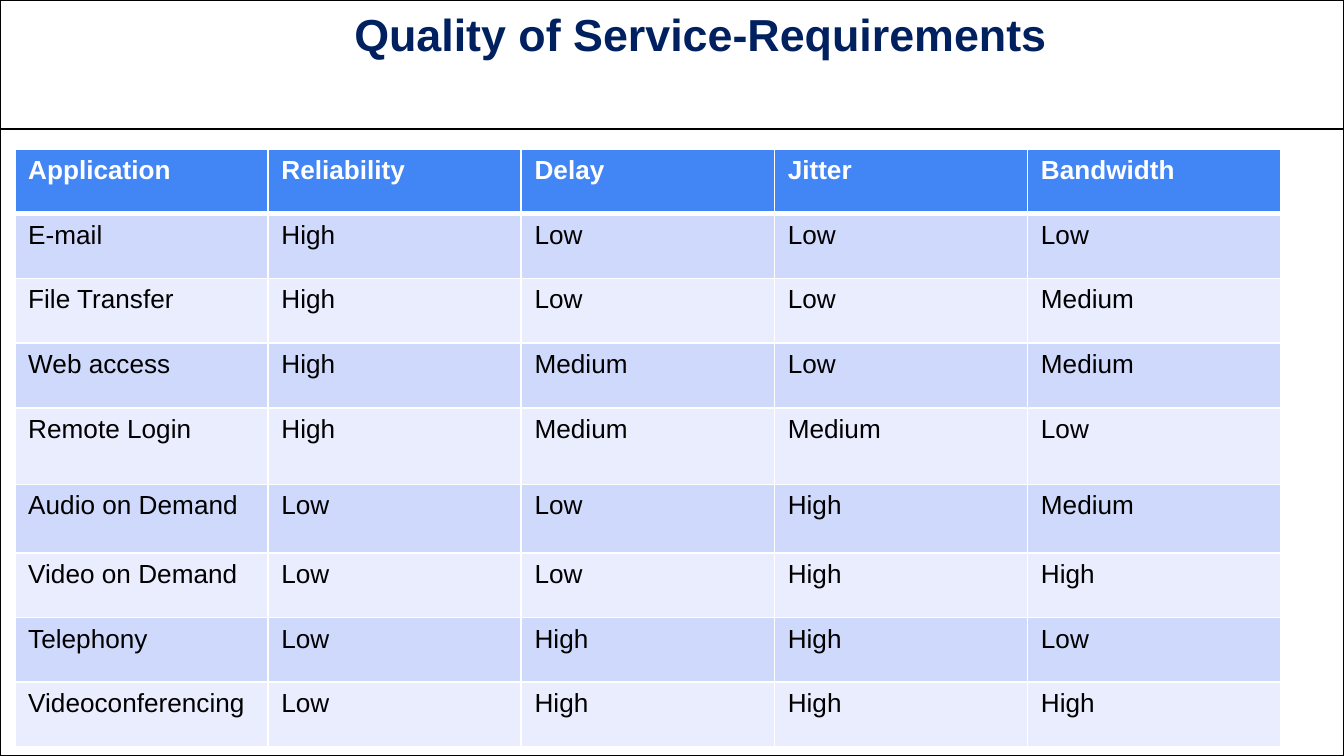
import dataclasses

import pptx
import pptx.dml.color
import pptx.enum.shapes
import pptx.enum.text
import pptx.oxml
import pptx.oxml.ns
import pptx.util
from pptx.util import Inches


@dataclasses.dataclass(frozen=True)
class Theme:
    font: str = "Arial"
    title_size: int = 24
    table_size: int = 14
    navy: str = "002060"
    header: str = "4285F4"
    bands: tuple = ("CFD9FB", "E9EDFD")
    white: str = "FFFFFF"
    black: str = "000000"


THEME = Theme()
SLIDE_WIDTH = 10
SLIDE_HEIGHT = SLIDE_WIDTH * 9 / 16
TABLE_WIDTH, TABLE_HEIGHT = 9.42, 4.45
TALLER_ROWS = {"Remote Login": 0.57, "Audio on Demand": 0.51}

REQUIREMENTS = [
    ("Application", "Reliability", "Delay", "Jitter", "Bandwidth"),
    ("E-mail", "High", "Low", "Low", "Low"),
    ("File Transfer", "High", "Low", "Low", "Medium"),
    ("Web access", "High", "Medium", "Low", "Medium"),
    ("Remote Login", "High", "Medium", "Medium", "Low"),
    ("Audio on Demand", "Low", "Low", "High", "Medium"),
    ("Video on Demand", "Low", "Low", "High", "High"),
    ("Telephony", "Low", "High", "High", "Low"),
    ("Videoconferencing", "Low", "High", "High", "High"),
]


def rgb(value):
    return pptx.dml.color.RGBColor.from_string(value)


def apply(target, values):
    for name, value in values.items():
        setattr(target, name, value)


def write(frame, text, size, color, bold):
    frame.text = text
    font = frame.paragraphs[0].runs[0].font
    apply(font, {"name": THEME.font, "size": pptx.util.Pt(size), "bold": bold})
    font.color.rgb = rgb(color)


def style_line(shape):
    shape.line.color.rgb = rgb(THEME.black)
    shape.line.width = pptx.util.Pt(1)


def add_frame(page):
    """Outline the whole page and rule off the title area."""
    outline = page.shapes.add_shape(
        pptx.enum.shapes.MSO_SHAPE.RECTANGLE,
        0, 0, Inches(SLIDE_WIDTH), Inches(SLIDE_HEIGHT))
    outline.shadow.inherit = False
    outline.fill.background()
    style_line(outline)

    rule = page.shapes.add_connector(
        pptx.enum.shapes.MSO_CONNECTOR.STRAIGHT,
        0, Inches(0.96), Inches(SLIDE_WIDTH), Inches(0.96))
    style_line(rule)
    rule._element.spPr.append(
        pptx.oxml.parse_xml(f"<a:effectLst {pptx.oxml.ns.nsdecls('a')}/>"))


def add_title(page, text):
    title = page.shapes.title
    apply(title, {"left": Inches(1.67), "top": Inches(0),
                  "width": Inches(6.99), "height": Inches(0.5)})
    frame = title.text_frame
    write(frame, text, THEME.title_size, THEME.navy, True)
    apply(frame, {"word_wrap": True,
                  "auto_size": pptx.enum.text.MSO_AUTO_SIZE.SHAPE_TO_FIT_TEXT,
                  "vertical_anchor": pptx.enum.text.MSO_ANCHOR.TOP})
    frame.paragraphs[0].alignment = pptx.enum.text.PP_ALIGN.CENTER


def set_borders(cell, widths):
    """Draw white borders; widths maps L, R, T and B to points."""
    properties = cell._tc.get_or_add_tcPr()
    for index, (side, points) in enumerate(widths.items()):
        border = pptx.oxml.parse_xml(
            f'<a:ln{side} {pptx.oxml.ns.nsdecls("a")} w="{pptx.util.Pt(points)}">'
            f'<a:solidFill><a:srgbClr val="{THEME.white}"/></a:solidFill>'
            f'</a:ln{side}>')
        properties.insert(index, border)


def style_cell(cell, text, row_index):
    is_header = row_index == 0
    fill = THEME.header if is_header else THEME.bands[(row_index - 1) % 2]
    cell.fill.solid()
    cell.fill.fore_color.rgb = rgb(fill)
    write(cell.text_frame, text, THEME.table_size,
          THEME.white if is_header else THEME.black, is_header)
    set_borders(cell, {"L": 1, "R": 1,
                       "T": 3 if row_index == 1 else 1,
                       "B": 3 if is_header else 1})


def add_requirements_table(page, rows):
    """Share the height left by the taller rows equally among the others."""
    columns = len(rows[0])
    height_left = TABLE_HEIGHT - sum(TALLER_ROWS.values())
    row_height = height_left / (len(rows) - len(TALLER_ROWS))
    table = page.shapes.add_table(
        len(rows), columns, Inches(0.11), Inches(1.11),
        Inches(TABLE_WIDTH), Inches(TABLE_HEIGHT)).table
    for column in table.columns:
        column.width = Inches(TABLE_WIDTH / columns)
    for row_index, values in enumerate(rows):
        height = TALLER_ROWS.get(values[0], row_height)
        table.rows[row_index].height = Inches(height)
        for column_index, text in enumerate(values):
            style_cell(table.cell(row_index, column_index), text, row_index)


def main():
    deck = pptx.Presentation()
    apply(deck, {"slide_width": Inches(SLIDE_WIDTH),
                 "slide_height": Inches(SLIDE_HEIGHT)})
    page = deck.slides.add_slide(deck.slide_layouts.get_by_name("Title Only"))
    add_frame(page)
    add_title(page, " Quality of Service-Requirements")
    add_requirements_table(page, REQUIREMENTS)
    deck.save("out.pptx")


if __name__ == "__main__":
    main()
